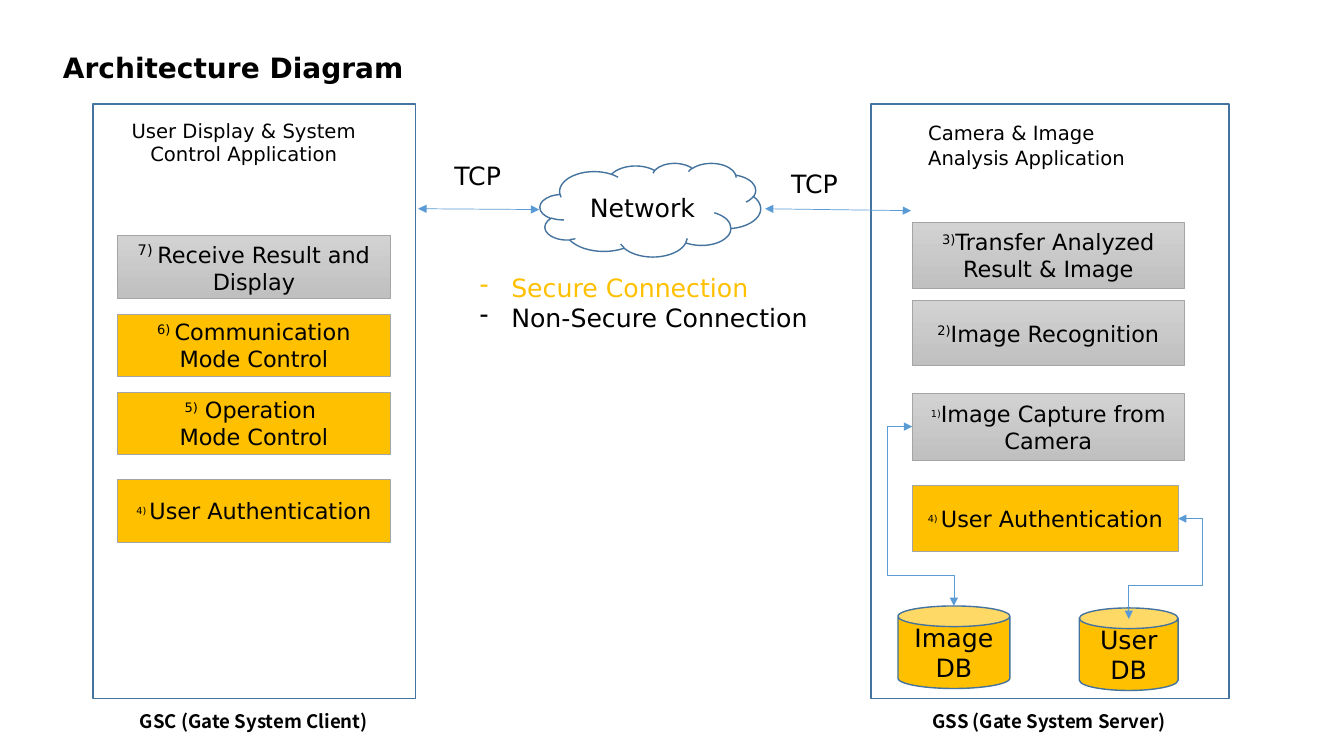
from lxml.etree import SubElement
from pptx import Presentation
from pptx.dml.color import RGBColor
from pptx.enum.shapes import MSO_CONNECTOR, MSO_SHAPE
from pptx.enum.text import MSO_ANCHOR, MSO_AUTO_SIZE, PP_ALIGN
from pptx.oxml.ns import qn
from pptx.util import Cm, Pt

COLORS = {
    "black": "000000",
    "white": "FFFFFF",
    "amber": "FFC000",
    "outline": "43739E",
    "arrow": "5B9BD5",
    "edge": "A5A5A5",
    "gray_top": "D2D2D2",
    "gray_bottom": "C0C0C0",
}
BODY_FONT = "DejaVu Sans"
CAPTION_FONT = "Noto Sans CJK KR"
CENTERED = {"alignment": PP_ALIGN.CENTER}
MIDDLE = {"word_wrap": True, "vertical_anchor": MSO_ANCHOR.MIDDLE}

CLIENT_BOXES = [
    (5.94, "gray", "7) ", 18, "Receive Result and Display"),
    (7.92, "amber", "6) ", 16, "Communication Mode Control"),
    (9.88, "amber", "5)", 16, " Operation \nMode Control"),
    (12.09, "amber", "4) ", 12, "User Authentication"),
]
SERVER_BOXES = [
    (5.61, 6.86, 1.65, "gray", "3)", 16, "Transfer Analyzed Result & Image"),
    (7.57, 6.86, 1.65, "gray", "2)", 16, "Image Recognition"),
    (9.91, 6.86, 1.7, "gray", "1)", 12, "Image Capture from Camera"),
    (12.24, 6.71, 1.65, "amber", "4) ", 12, "User Authentication"),
]


def color(name):
    return RGBColor.from_string(COLORS[name])


def apply_format(target, values):
    for name, value in values.items():
        setattr(target, name, value)


def lengths(*values):
    return [Cm(value) for value in values]


def move(shape, left, top, width, height):
    names = ("left", "top", "width", "height")
    apply_format(shape, dict(zip(names, lengths(left, top, width, height))))


def add_span(para, text, size, tint="black", font=BODY_FONT, bold=False, raised=False):
    for index, line in enumerate(text.split("\n")):
        if index:
            para.add_line_break()
        span = para.add_run()
        span.text = line
        apply_format(span.font, {"name": font, "size": Pt(size), "bold": bold})
        span.font.color.rgb = color(tint)
        if raised:
            span.font._element.set("baseline", "30000")


def add_block(page, kind, place, fill, line, width):
    shape = page.shapes.add_shape(kind, *lengths(*place))
    shape.shadow.inherit = False
    if fill == "gray":
        shape.fill.gradient()
        shape.fill.gradient_angle = 270
        for stop, name in zip(shape.fill.gradient_stops, ("gray_top", "gray_bottom")):
            stop.color.rgb = color(name)
    else:
        shape.fill.solid()
        shape.fill.fore_color.rgb = color(fill)
    shape.line.color.rgb = color(line)
    shape.line.width = Pt(width)
    apply_format(shape.text_frame, MIDDLE)
    apply_format(shape.text_frame.paragraphs[0], CENTERED)
    return shape


def add_step(page, place, fill, number, number_size, text):
    box = add_block(page, MSO_SHAPE.RECTANGLE, place, fill, "edge", 0.5)
    para = box.text_frame.paragraphs[0]
    add_span(para, number, number_size, raised=True)
    add_span(para, text, 16)
    return box


def add_named_shape(page, kind, place, fill, text):
    shape = add_block(page, kind, place, fill, "outline", 1)
    add_span(shape.text_frame.paragraphs[0], text, 18)
    return shape


def add_label(page, place, text, size, layout=None, frame=None, **style):
    box = page.shapes.add_textbox(*lengths(*place))
    apply_format(box.text_frame, {"word_wrap": True, **(frame or {})})
    para = box.text_frame.paragraphs[0]
    apply_format(para, layout or {})
    add_span(para, text, size, **style)


def add_arrow(page, kind, ends):
    arrow = page.shapes.add_connector(kind, *lengths(*ends))
    arrow.line.color.rgb = color("arrow")
    arrow.line.width = Pt(0.5)
    outline = arrow.line._get_or_add_ln()
    for end in ("a:headEnd", "a:tailEnd"):
        SubElement(outline, qn(end), type="triangle")
    SubElement(arrow._element.spPr, qn("a:effectLst"))
    return arrow


def add_bent_arrow(page, ends, source, source_site, target, target_site, bends, turn):
    arrow = add_arrow(page, MSO_CONNECTOR.ELBOW, ends)
    arrow.begin_connect(source, source_site)
    arrow.end_connect(target, target_site)
    names = ("begin_x", "begin_y", "end_x", "end_y")
    apply_format(arrow, dict(zip(names, lengths(*ends))))
    properties = arrow._element.spPr
    for name, value in turn.items():
        properties.find(qn("a:xfrm")).set(name, value)
    geometry = properties.find(qn("a:prstGeom"))
    geometry.set("prst", "bentConnector4")
    guides = geometry.find(qn("a:avLst"))
    if guides is None:
        guides = SubElement(geometry, qn("a:avLst"))
    for index, bend in enumerate(bends, 1):
        SubElement(guides, qn("a:gd"), name=f"adj{index}", fmla=f"val {bend}")


def fill_title(page):
    title = page.shapes.title
    move(title, -0.1, 0.97, 11.96, 1.3)
    apply_format(title.text_frame, {
        "word_wrap": True, "vertical_anchor": MSO_ANCHOR.BOTTOM,
        "auto_size": MSO_AUTO_SIZE.NONE,
    })
    para = title.text_frame.paragraphs[0]
    apply_format(para, {**CENTERED, "line_spacing": 0.9})
    add_span(para, "Architecture Diagram", 20, bold=True)


def fill_connection_list(page):
    body = page.placeholders[1]
    move(body, 11.84, 6.73, 8.89, 1.8)
    frame = body.text_frame
    apply_format(frame, {"word_wrap": False, "auto_size": MSO_AUTO_SIZE.NONE})
    items = [("Secure Connection", "amber"), ("Non-Secure Connection", "black")]
    for index, (text, tint) in enumerate(items):
        para = frame.add_paragraph() if index else frame.paragraphs[0]
        apply_format(para, {"space_before": Pt(0), "alignment": PP_ALIGN.LEFT})
        settings = para._p.get_or_add_pPr()
        settings.set("marL", str(Cm(0.79)))
        settings.set("indent", str(Cm(-0.79)))
        SubElement(settings, qn("a:buFontTx"))
        SubElement(settings, qn("a:buChar"), char="-")
        add_span(para, text, 18, tint)


def main():
    deck = Presentation()
    apply_format(deck, {"slide_width": Cm(33.87), "slide_height": Cm(19.05)})
    page = deck.slides.add_slide(deck.slide_layouts[1])
    fill_title(page)
    fill_connection_list(page)

    for left, width in ((2.34, 8.13), (21.95, 9.02)):
        add_block(page, MSO_SHAPE.RECTANGLE, (left, 2.62, width, 14.99), "white", "outline", 1)
    add_label(page, (2.97, 2.87, 6.35, 1.37),
              "User Display & System Control Application", 14, CENTERED)
    add_label(page, (23.14, 2.87, 6.4, 1.55), "Camera & Image Analysis Application", 14,
              {"line_spacing": 1.07, "space_after": Pt(8)})

    for top, *step in CLIENT_BOXES:
        add_step(page, (2.97, top, 6.86, 1.57), *step)
    server_steps = [add_step(page, (22.99, top, width, height), *step)
                    for top, width, height, *step in SERVER_BOXES]
    capture, authentication = server_steps[2:]

    add_named_shape(page, MSO_SHAPE.CLOUD, (13.61, 4.11, 5.56, 2.36), "white", "Network")
    image_store = add_named_shape(page, MSO_SHAPE.CAN, (22.63, 15.27, 2.82, 2.08),
                                  "amber", "Image\nDB")
    user_store = add_named_shape(page, MSO_SHAPE.CAN, (27.2, 15.32, 2.49, 2.08),
                                 "amber", "User\nDB")

    for ends in ((10.54, 5.26, 13.59, 5.28), (19.28, 5.26, 22.96, 5.31)):
        add_arrow(page, MSO_CONNECTOR.STRAIGHT, ends)
    add_bent_arrow(page, (29.69, 13.07, 28.45, 15.6), authentication, 3,
                   user_store, 0, (-49800, 66500), {})
    add_bent_arrow(page, (22.99, 10.75, 24.04, 15.27), capture, 1, image_store, 1,
                   (-59200, 83200), {"rot": "10800000", "flipH": "1", "flipV": "1"})

    for left, top in ((11.2, 3.91), (19.69, 4.11)):
        add_label(page, (left, top, 1.73, 1.02), "TCP", 18, frame={"word_wrap": False})
    margins = {f"margin_{side}": Cm(0.33) for side in ("left", "top", "right", "bottom")}
    for left, text in ((2.59, "GSC (Gate System Client)"), (22.63, "GSS (Gate System Server)")):
        add_label(page, (left, 17.6, 7.62, 1.24), text, 13.3, CENTERED, margins,
                  font=CAPTION_FONT, bold=True)
    deck.save("out.pptx")


if __name__ == "__main__":
    main()
